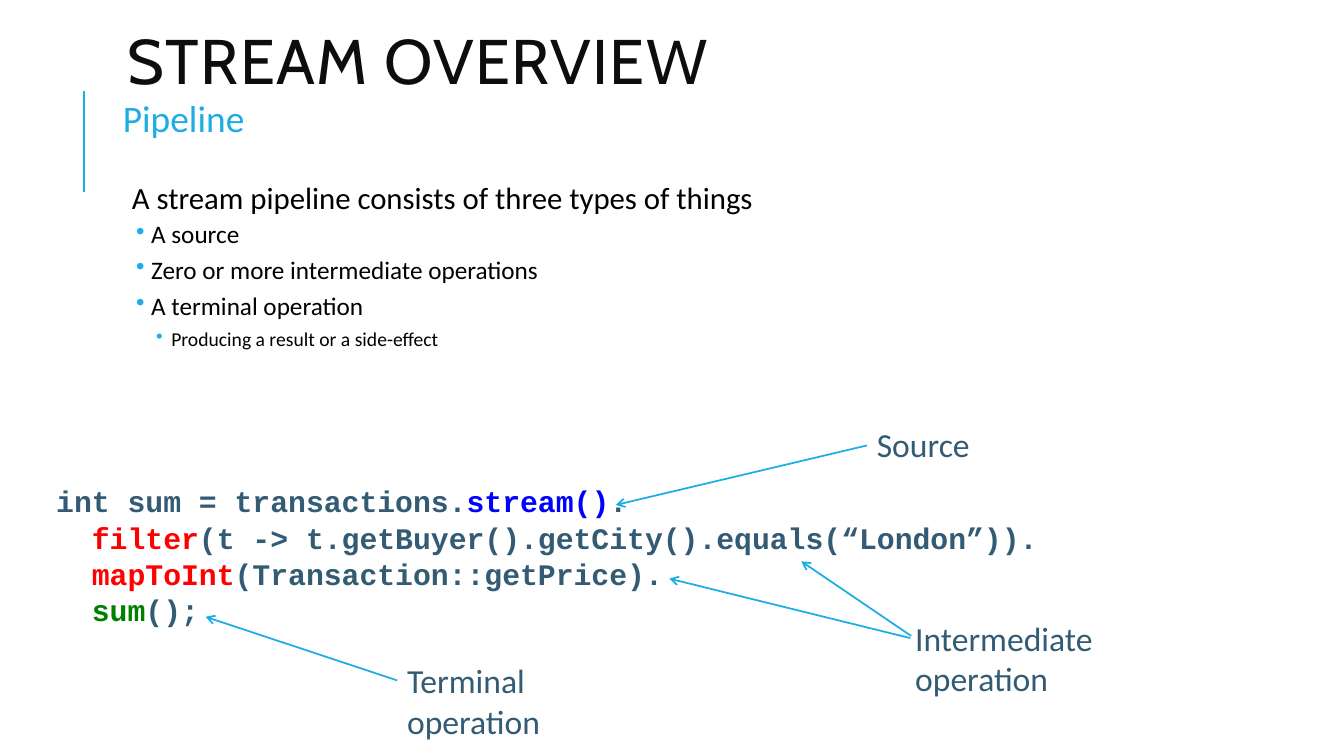
from dataclasses import dataclass

from lxml.etree import SubElement
from pptx import Presentation
from pptx.dml.color import RGBColor
from pptx.enum.shapes import MSO_CONNECTOR
from pptx.enum.text import MSO_ANCHOR
from pptx.oxml.ns import qn
from pptx.slide import Slide
from pptx.util import Pt

COLORS = {
    "title": "0D0D0D",
    "accent": "1CADE4",
    "body": "000000",
    "slate": "335B74",
    "source": "0000FF",
    "intermediate": "FF0000",
    "terminal": "008000",
}


@dataclass
class Line:
    """One paragraph: its runs as (text, color name) pairs, and its layout."""
    runs: list[tuple[str, str]]
    size: float
    indent: float = 0
    bullet: bool = False
    before: float = 0
    after: float = 0


@dataclass
class Label:
    text: str
    left: float
    top: float
    width: float


@dataclass
class Arrow:
    start: tuple[float, float]
    end: tuple[float, float]


BULLET_HANG = 10.8

BODY = [
    Line([("A stream pipeline consists of three types of things", "body")], 22, indent=7.2, after=2),
    *(
        Line([(text, "body")], size, indent, bullet=True, before=2, after=4)
        for text, size, indent in [
            ("A source", 18, 20.9),
            ("Zero or more intermediate operations", 18, 20.9),
            ("A terminal operation", 18, 20.9),
            ("Producing a result or a side-effect", 14, 35.3),
        ]
    ),
]

CODE = [
    Line(runs, 21.3)
    for runs in [
        [("int sum = transactions.", "slate"), ("stream()", "source"), (".", "slate")],
        [("  ", "slate"), ("filter", "intermediate"),
         ("(t -> t.getBuyer().getCity().equals(“London”)).", "slate")],
        [("  ", "slate"), ("mapToInt", "intermediate"), ("(Transaction::getPrice).", "slate")],
        [("  ", "slate"), ("sum", "terminal"), ("();", "slate")],
    ]
]

LABELS = [
    Label("Source", 619.2, 299.5, 108.7),
    Label("Intermediate operation", 646.6, 437.8, 236.9),
    Label("Terminal operation", 283.7, 468, 194.4),
]

ARROWS = [
    Arrow((619.2, 318.2), (439.9, 360.7)),
    Arrow((283.7, 486), (146.9, 440.6)),
    Arrow((650.9, 454.3), (572.4, 401)),
    Arrow((650.2, 455.8), (478.1, 413.3)),
]


def color(name: str) -> RGBColor:
    return RGBColor.from_string(COLORS[name])


def add_text(slide: Slide, lines: list[Line], *, left: float, top: float, width: float,
             height: float, font: str = "Calibri", bold: bool = False, spacing=1.0,
             side_inset: float = 7.2, anchor: MSO_ANCHOR = MSO_ANCHOR.TOP,
             tracking: float = 0) -> None:
    shape = slide.shapes.add_textbox(Pt(left), Pt(top), Pt(width), Pt(height))
    frame = shape.text_frame
    frame.word_wrap = True
    frame.vertical_anchor = anchor
    frame.margin_left = frame.margin_right = Pt(side_inset)
    frame.margin_top = frame.margin_bottom = Pt(3.6)
    for index, line in enumerate(lines):
        paragraph = frame.add_paragraph() if index else frame.paragraphs[0]
        paragraph.line_spacing = spacing
        paragraph.space_before = Pt(line.before)
        paragraph.space_after = Pt(line.after)
        properties = paragraph._p.get_or_add_pPr()
        properties.set("marL", str(Pt(line.indent)))
        if line.bullet:
            properties.set("indent", str(-Pt(BULLET_HANG)))
            bullet_color = SubElement(properties, qn("a:buClr"))
            SubElement(bullet_color, qn("a:srgbClr"), val=COLORS["accent"])
            SubElement(properties, qn("a:buChar"), char="•")
        for text, color_name in line.runs:
            run = paragraph.add_run()
            run.text = text
            run.font.name = font
            run.font.size = Pt(line.size)
            run.font.bold = bold
            run.font.color.rgb = color(color_name)
            if tracking:
                run._r.get_or_add_rPr().set("spc", str(round(tracking * 100)))


def add_line(slide: Slide, line: Arrow, *, weight: float, arrowhead: bool) -> None:
    connector = slide.shapes.add_connector(
        MSO_CONNECTOR.STRAIGHT, *(Pt(value) for value in (*line.start, *line.end)))
    connector.line.color.rgb = color("accent")
    connector.line.width = Pt(weight)
    if arrowhead:
        SubElement(connector.line._get_or_add_ln(), qn("a:tailEnd"), type="arrow")
    SubElement(connector._element.spPr, qn("a:effectLst"))


def main() -> None:
    presentation = Presentation()
    presentation.slide_width, presentation.slide_height = Pt(960), Pt(540)
    slide = presentation.slides.add_slide(presentation.slide_layouts[6])

    # Heading with its accent rule
    add_line(slide, Arrow((59.8, 136.8), (59.8, 64.8)), weight=1.5, arrowhead=False)
    add_text(slide, [Line([("STREAM OVERVIEW", "title")], 45)], left=84.2, top=25.9,
             width=864, height=42.5, font="Cabin", spacing=0.8,
             anchor=MSO_ANCHOR.MIDDLE, tracking=1)
    add_text(slide, [Line([("Pipeline", "accent")], 26.7)], left=84.2, top=68.4,
             width=864, height=31.7, spacing=0.9, side_inset=3.6)

    # Bullets
    add_text(slide, BODY, left=83.5, top=127.4, width=864, height=321.8,
             spacing=0.9, side_inset=3.6)

    # Code sample
    add_text(slide, CODE, left=33.1, top=341.3, width=799.2, height=110.9,
             font="Courier New", bold=True, spacing=Pt(25.8))

    # Labels and arrows to the code
    for label in LABELS:
        add_text(slide, [Line([(label.text, "slate")], 24)], left=label.left,
                 top=label.top, width=label.width, height=36)
    for arrow in ARROWS:
        add_line(slide, arrow, weight=1.25, arrowhead=True)

    presentation.save("out.pptx")


if __name__ == "__main__":
    main()
